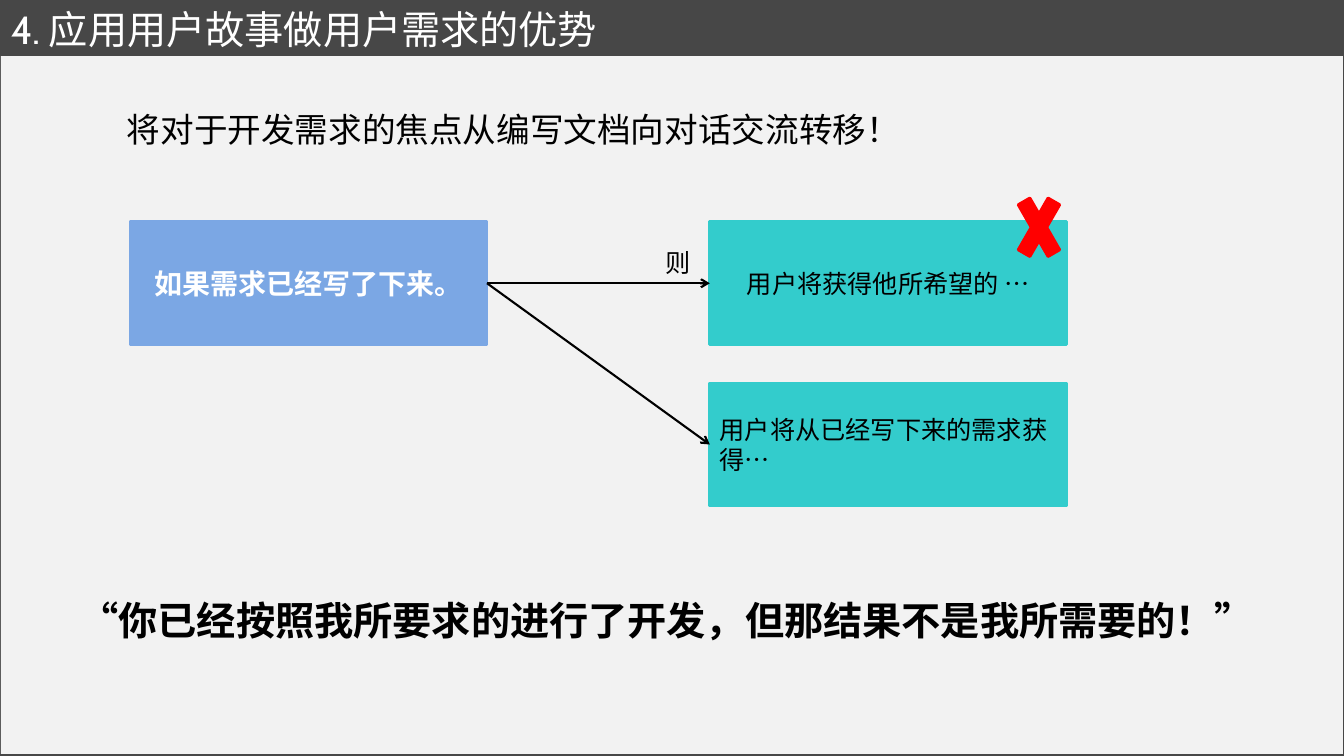
"""Build the slide on the advantages of user stories for user requirements."""
from lxml import etree
from pptx import Presentation
from pptx.dml.color import RGBColor
from pptx.enum.shapes import MSO_CONNECTOR as Connector, MSO_SHAPE as Shape
from pptx.enum.text import MSO_ANCHOR as Anchor, PP_ALIGN as Align
from pptx.oxml.ns import qn
from pptx.util import Pt

PX = 9144
SLIDE_SIZE = (1333, 750)
CHARCOAL = RGBColor(0x47, 0x47, 0x47)
PALE = RGBColor(0xF2, 0xF2, 0xF2)
BLUE = RGBColor(0x7B, 0xA7, 0xE4)
TEAL = RGBColor(0x33, 0xCC, 0xCC)
RED = RGBColor(0xFF, 0x00, 0x00)
WHITE = RGBColor(0xFF, 0xFF, 0xFF)
BLACK = RGBColor(0x00, 0x00, 0x00)
SANS, SANS_JP = "Noto Sans CJK SC", "Noto Sans CJK JP"

PANEL = (1, 55, 1331, 693)
TITLE_BAR = (1, 2, 1333, 53)
TITLE = ("4. 应用用户故事做用户需求的优势", "Cabin", 28, WHITE, False, Align.LEFT)
CARD_WIDTH, CARD_HEIGHT = 354, 122
CAUSE_LEFT, RESULT_LEFT = 129, 704
FIRST_TOP, ROW_STEP = 220, 160
CAUSE = ("如果需求已经写了下来。", "Arial", 20, WHITE, True, Align.CENTER)
RESULTS = [
    ("用户将获得他所希望的 …", "Arial", 18, BLACK, False, Align.CENTER),
    ("用户将从已经写下来的需求获得…", "Arial", 18, BLACK, False, Align.LEFT),
]
NOTES = [
    ((116, 103, 794, 50), False,
     ("将对于开发需求的焦点从编写文档向对话交流转移！", SANS, 24, BLACK, False, Align.LEFT)),
    ((650, 240, 47, 40), False, ("则", SANS, 18, BLACK, False, Align.LEFT)),
    ((69, 587, 1209, 57), True,
     ("“你已经按照我所要求的进行了开发，但那结果不是我所需要的！”",
      SANS_JP, 28, BLACK, True, Align.LEFT)),
]
CROSS = (1002, 176, 57, 99)


def emu(lengths):
    return [length * PX for length in lengths]


def write(box, content, wrap=True):
    text, font_name, size, color, bold, align = content
    frame = box.text_frame
    frame.word_wrap = wrap
    para = frame.paragraphs[0]
    para.alignment = align
    span = para.add_run()
    span.text = text
    font = span.font
    font.name, font.size, font.bold = font_name, Pt(size), bold
    font.color.rgb = color
    east_asian = SANS_JP if font_name == SANS_JP else SANS
    latin = font._element.find(qn("a:latin"))
    latin.addnext(etree.Element(qn("a:ea"), typeface=east_asian))


def add_block(page, kind, place, fill, line_width=0, content=None):
    block = page.shapes.add_shape(kind, *emu(place))
    block.shadow.inherit = False
    block.fill.solid()
    block.fill.fore_color.rgb = fill
    if line_width:
        block.line.color.rgb = fill
        block.line.width = Pt(line_width)
    else:
        block.line.fill.background()
    if content:
        block.text_frame.vertical_anchor = Anchor.MIDDLE
        write(block, content)


def add_arrow(page, start, end):
    arrow = page.shapes.add_connector(Connector.STRAIGHT, *emu(start + end))
    arrow.line.color.rgb = BLACK
    arrow.line.width = Pt(1.5)
    etree.SubElement(arrow.line._get_or_add_ln(), qn("a:tailEnd"), type="arrow")
    etree.SubElement(arrow._element.spPr, qn("a:effectLst"))


def main():
    deck = Presentation()
    deck.slide_width, deck.slide_height = emu(SLIDE_SIZE)
    page = deck.slides.add_slide(deck.slide_layouts[6])
    page.background.fill.solid()
    page.background.fill.fore_color.rgb = CHARCOAL

    add_block(page, Shape.RECTANGLE, PANEL, PALE)
    add_block(page, Shape.RECTANGLE, TITLE_BAR, CHARCOAL, 0.75, TITLE)

    card = (CARD_WIDTH, CARD_HEIGHT)
    add_block(page, Shape.RECTANGLE, (CAUSE_LEFT, FIRST_TOP, *card), BLUE, 2, CAUSE)
    middle = FIRST_TOP + CARD_HEIGHT // 2
    for row, result in enumerate(RESULTS):
        drop = row * ROW_STEP
        add_block(page, Shape.RECTANGLE, (RESULT_LEFT, FIRST_TOP + drop, *card), TEAL, 2, result)
        add_arrow(page, (CAUSE_LEFT + CARD_WIDTH, middle), (RESULT_LEFT, middle + drop))

    for place, wrap, content in NOTES:
        write(page.shapes.add_textbox(*emu(place)), content, wrap)
    add_block(page, Shape.MATH_MULTIPLY, CROSS, RED, 2)
    deck.save("out.pptx")


if __name__ == "__main__":
    main()
